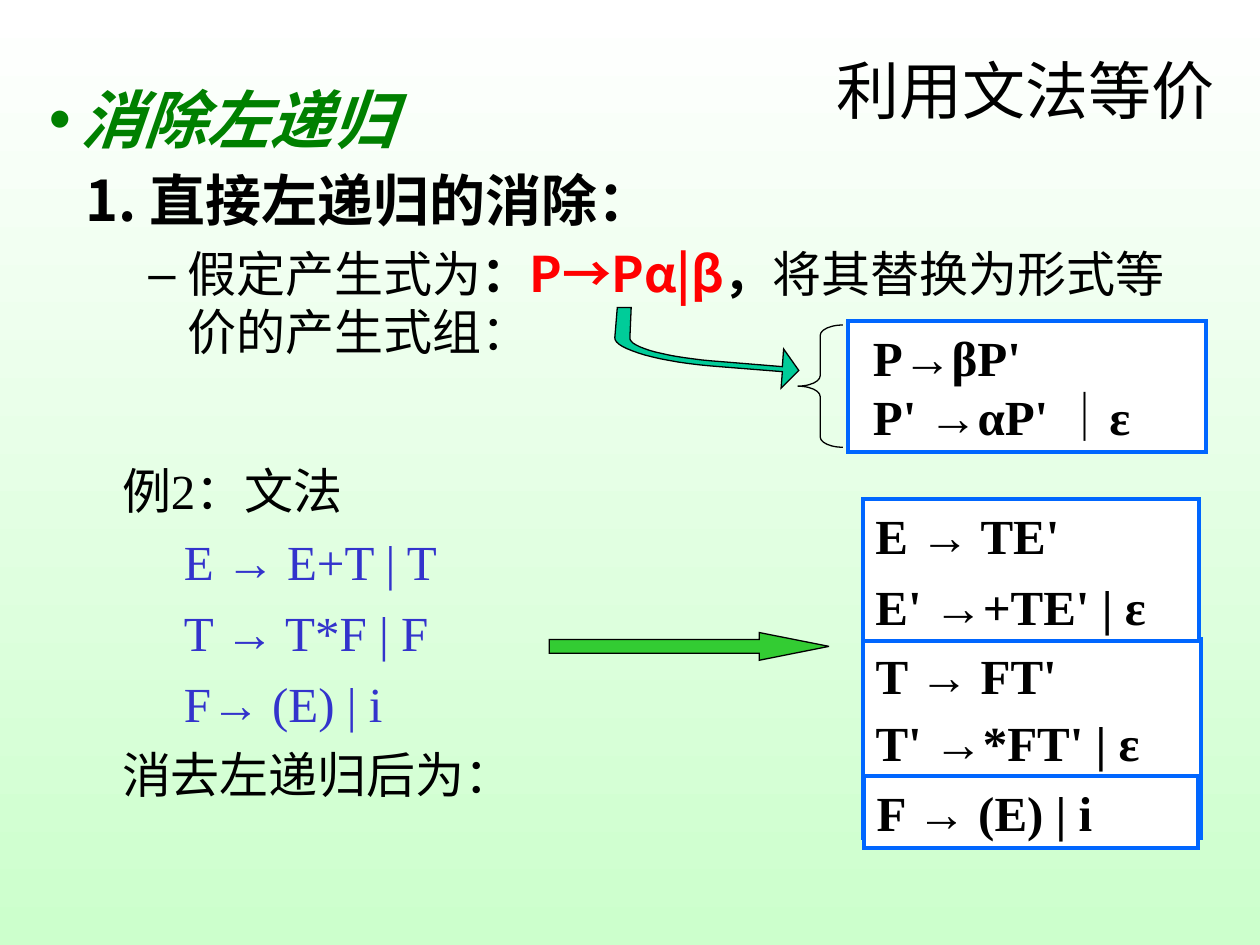
from lxml.etree import SubElement
from pptx import Presentation
from pptx.dml.color import RGBColor
from pptx.enum.shapes import MSO_SHAPE as Preset
from pptx.enum.text import MSO_ANCHOR as Anchor
from pptx.oxml.ns import qn
from pptx.util import Inches, Pt

COLORS = {"black": "000000", "white": "FFFFFF", "mint": "CCFFCC", "heading": "008000",
          "red": "FF0000", "grammar": "3333CC", "frame": "0066FF",
          "arrow": "33CC33", "bend": "00CC99"}
SERIF, SANS, ARROW_FONT = "Times New Roman", "Noto Sans CJK SC", "Arial"
UNITS_PER_INCH = 1000


def rgb(name):
    return RGBColor.from_string(COLORS[name])


def curve(start, ctrl1, ctrl2, end, steps=16):
    """Points along a cubic Bezier, without its start."""
    def at(t):
        weights = ((1 - t) ** 3, 3 * t * (1 - t) ** 2, 3 * t * t * (1 - t), t ** 3)
        corners = (start, ctrl1, ctrl2, end)
        return tuple(sum(w * c[axis] for w, c in zip(weights, corners)) for axis in (0, 1))
    return [at(step / steps) for step in range(1, steps + 1)]


class SlideWriter:
    def __init__(self, slide):
        self.slide = slide

    def background(self, top, bottom):
        fill = self.slide.background.fill
        fill.gradient()
        fill.gradient_angle = 270
        for stop, color, position in zip(fill.gradient_stops, (top, bottom), (0, 1)):
            stop.color.rgb = rgb(color)
            stop.position = position

    def paint(self, shape, fill, line="black", width=0.75):
        shape.shadow.inherit = False
        if fill:
            shape.fill.solid()
            shape.fill.fore_color.rgb = rgb(fill)
        else:
            shape.fill.background()
        shape.line.color.rgb = rgb(line)
        shape.line.width = Pt(width)
        SubElement(shape.line._get_or_add_ln(), qn("a:miter"), lim="800000")
        return shape

    def preset(self, kind, box, fill, adjustments=(), **line):
        shape = self.slide.shapes.add_shape(kind, *map(Inches, box))
        for index, value in enumerate(adjustments):
            shape.adjustments[index] = value
        return self.paint(shape, fill, **line)

    def outline(self, points, fill):
        """A closed shape through points in inches; the builder keeps whole units only."""
        start, *rest = [tuple(round(length * UNITS_PER_INCH) for length in point)
                        for point in points]
        builder = self.slide.shapes.build_freeform(*start, scale=Inches(1) / UNITS_PER_INCH)
        builder.add_line_segments(rest, close=True)
        return self.paint(builder.convert_to_shape(), fill)

    def text_box(self, box, anchor=Anchor.TOP):
        frame = self.slide.shapes.add_textbox(*map(Inches, box)).text_frame
        frame.word_wrap = True
        frame.vertical_anchor = anchor
        return frame

    def run(self, paragraph, text, size=28, font=SERIF, asian=None, color="black",
            bold=False, italic=False):
        run = paragraph.add_run()
        run.text = text
        style = run.font
        style.size, style.name, style.bold, style.italic = Pt(size), font, bold, italic
        style.color.rgb = rgb(color)
        SubElement(style._element, qn("a:ea"), typeface=asian or font)

    def paragraph(self, frame, before=0, left=0, hanging=0, line=None):
        first = frame.paragraphs[0]
        paragraph = frame.add_paragraph() if first.runs else first
        paragraph.space_before = Pt(before)
        if line:
            paragraph.line_spacing = Pt(line)
        props = paragraph._p.get_or_add_pPr()
        props.set("algn", "l")
        props.set("marL", str(Inches(left)))
        props.set("indent", str(-Inches(hanging)))
        return paragraph

    def bullet(self, paragraph, char, color):
        props = paragraph._p.get_or_add_pPr()
        SubElement(SubElement(props, qn("a:buClr")), qn("a:srgbClr"), val=COLORS[color])
        SubElement(props, qn("a:buFont"), typeface=ARROW_FONT)
        SubElement(props, qn("a:buChar"), char=char)

    def rule(self, paragraph, production, arrow_font=ARROW_FONT, **style):
        """A production whose arrow has its own font."""
        head, arrow, tail = production.partition("→")
        self.run(paragraph, head, **style)
        self.run(paragraph, arrow, font=arrow_font, **style)
        self.run(paragraph, tail, **style)

    def rule_box(self, box, productions, before=0.0, left=0.0, arrow_font=ARROW_FONT):
        shape = self.preset(Preset.RECTANGLE, box, "white", line="frame", width=2.25)
        frame = shape.text_frame
        frame.word_wrap = True
        frame.vertical_anchor = Anchor.TOP
        for production in productions:
            self.rule(self.paragraph(frame, before, left), production, arrow_font, bold=True)


def main():
    deck = Presentation()
    deck.slide_width, deck.slide_height = Inches(10), Inches(7.5)
    writer = SlideWriter(deck.slides.add_slide(deck.slide_layouts[6]))
    writer.background("white", "mint")

    heading = writer.paragraph(writer.text_box((0.29, 0.48, 6, 0.92), Anchor.MIDDLE),
                               left=0.25, hanging=0.25, line=43)
    writer.bullet(heading, "•", "heading")
    writer.run(heading, "消除左递归", size=36, asian=SANS, color="heading",
               bold=True, italic=True)

    method = writer.text_box((0.58, 1.27, 8.82, 2.76))
    step = writer.paragraph(method, before=8, left=0.38, hanging=0.38, line=38)
    writer.run(step, "1. 直接左递归的消除：", size=32, font=SANS, bold=True)
    premise = writer.paragraph(method, before=7, left=0.81, hanging=0.31, line=33)
    writer.bullet(premise, "–", "black")
    for text, bold, color in (("假定产生式为", False, "black"), ("：", True, "black"),
                              ("P→Pα|β", True, "red"), ("，", True, "black"),
                              ("将其替换为形式等价的产生式组：", False, "black")):
        writer.run(premise, text, font=SANS, bold=bold, color=color)

    example = writer.text_box((0.87, 3.61, 3.78, 2.83))
    writer.run(writer.paragraph(example, before=17.5, line=33.3), "例2：文法", asian=SANS)
    for production in ("E → E+T | T", "T → T*F | F", "F→ (E) | i"):
        writer.rule(writer.paragraph(example, before=7, left=0.49), production, color="grammar")
    writer.run(writer.paragraph(example, before=7, line=33.3), "消去左递归后为：", asian=SANS)

    writer.rule_box((6.85, 5.07, 2.68, 1.58), ("T → FT'", "T' →*FT' | ε"), before=5.2)
    writer.preset(Preset.RIGHT_ARROW, (4.36, 5.02, 2.22, 0.22), "arrow", (0.5, 2.52))
    writer.preset(Preset.LEFT_BRACE, (6.33, 2.58, 0.36, 0.97), None, (0.23, 0.5))
    writer.rule_box((6.73, 2.55, 2.84, 1.04), ("P→βP'", "P' →αP' ｜ε"),
                    left=0.1, arrow_font=SERIF)
    writer.rule_box((6.85, 3.96, 2.67, 1.13), ("E → TE'", "E' →+TE' | ε"), before=7)
    writer.rule_box((6.86, 6.16, 2.65, 0.57), ("F → (E) | i",), before=5.2)

    outer_bend = curve((5.71, 2.91), (5.25, 2.88), (4.87, 2.77), (4.88, 2.68))
    inner_bend = curve((5, 2.68), (4.99, 2.76), (5.31, 2.84), (5.72, 2.87))
    writer.outline([(6.34, 2.94), (6.2, 3.08), (6.21, 2.95), (5.71, 2.91), *outer_bend,
                    (4.9, 2.44), (5.01, 2.44), (5, 2.68), *inner_bend,
                    (6.21, 2.91), (6.22, 2.77)], "bend")

    topic = writer.paragraph(writer.text_box((6.54, 0.36, 3.24, 0.7)), line=43)
    writer.run(topic, "利用文法等价", size=36, asian=SANS)

    deck.save("out.pptx")


if __name__ == "__main__":
    main()
